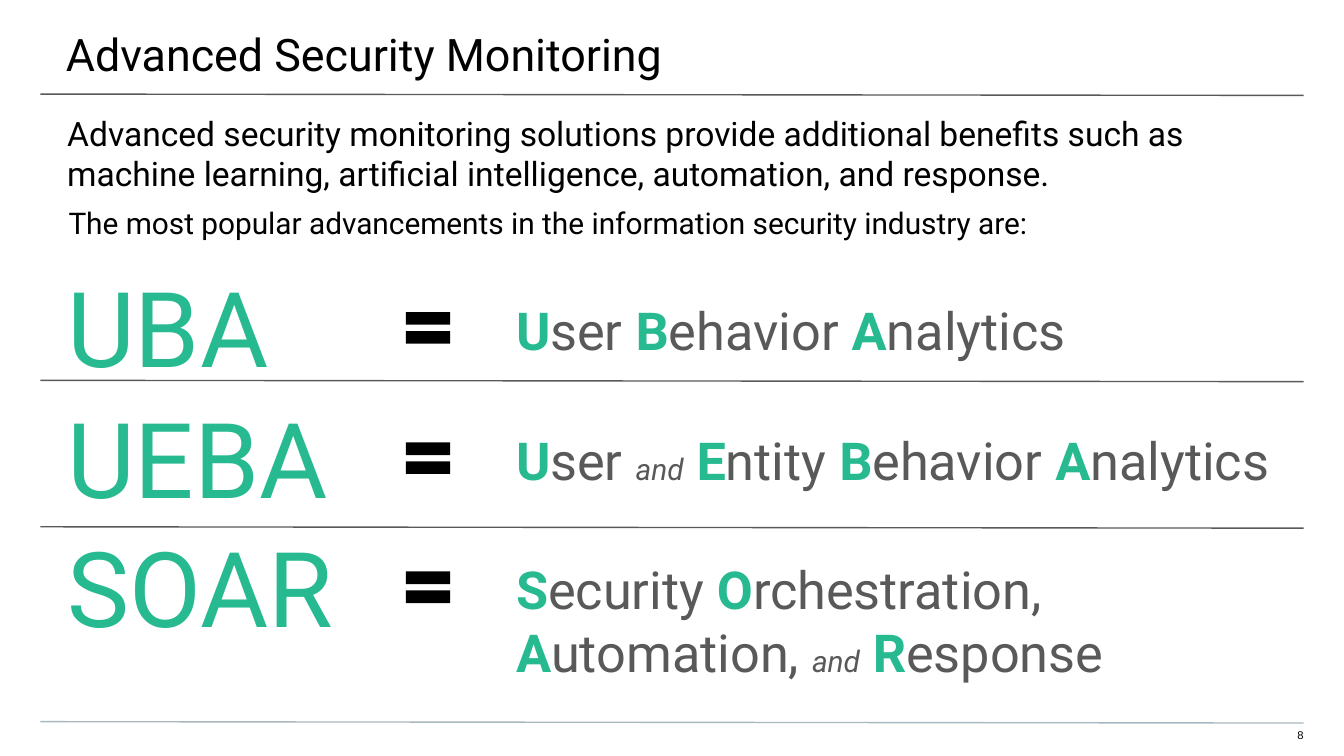
import pptx
import pptx.util
import pptx.dml.color
import pptx.enum.shapes
import pptx.enum.text
import pptx.oxml.ns
import lxml.etree

WIDTH = 10
HEIGHT = WIDTH * 9 / 16
GREEN, GREY, BLACK, PALE = "27BA90", "595959", "000000", "A9B7C0"
DEFINITIONS = [
    (1.96, 0.64, "UBA", "User Behavior Analytics"),
    (2.93, 0.64, "UEBA", "User and Entity Behavior Analytics"),
    (3.89, 1.06, "SOAR", "Security Orchestration, Automation, and Response"),
]


def inches(value):
    return pptx.util.Inches(value)


def colour(hex_text):
    return pptx.dml.color.RGBColor.from_string(hex_text)


def style(span, size, hex_text, bold=False, italic=False, face="Roboto"):
    span.font.name = face
    span.font.size = pptx.util.Pt(size)
    span.font.bold = bold
    span.font.italic = italic
    span.font.color.rgb = colour(hex_text)


def prepare(shape, box, insets):
    shape.left, shape.top, shape.width, shape.height = map(inches, box)
    frame = shape.text_frame
    frame.word_wrap = True
    frame.auto_size = pptx.enum.text.MSO_AUTO_SIZE.NONE
    frame.vertical_anchor = pptx.enum.text.MSO_ANCHOR.TOP
    (frame.margin_left, frame.margin_top,
     frame.margin_right, frame.margin_bottom) = map(inches, insets)
    return frame


def add_box(page, box, insets):
    return prepare(page.shapes.add_textbox(0, 0, 0, 0), box, insets)


def write(frame, text, size, hex_text, face="Roboto"):
    frame.text = text
    para = frame.paragraphs[0]
    style(para.runs[0], size, hex_text, face=face)
    return para


def add_rule(page, top, hex_text):
    margin = 0.03 * WIDTH
    rule = page.shapes.add_connector(
        pptx.enum.shapes.MSO_CONNECTOR.STRAIGHT,
        inches(margin), inches(top), inches(WIDTH - margin), inches(top + 0.01))
    rule.line.color.rgb = colour(hex_text)
    rule.line.width = pptx.util.Pt(0.75)
    lxml.etree.SubElement(rule.element.spPr, pptx.oxml.ns.qn("a:effectLst"))


def fill_heading(page):
    title, summary, lead = page.placeholders
    frame = prepare(title, (-0.01, 0, WIDTH + 0.03, 0.58), (0.5, 0.2, 0.3, 0.1))
    para = write(frame, "Advanced Security Monitoring", 24, BLACK)
    para.alignment = pptx.enum.text.PP_ALIGN.LEFT
    passages = [
        (summary, (0, 0.74, WIDTH, 0.4), 0.1, 18,
         "Advanced security monitoring solutions provide additional benefits such as "
         "machine learning, artificial intelligence, automation, and response."),
        (lead, (0.01, 1.52, WIDTH, 0.34), 0, 16,
         "The most popular advancements in the information security industry are:"),
    ]
    for shape, box, top_inset, size, text in passages:
        para = write(prepare(shape, box, (0.5, top_inset, 0.5, 0)), text, size, BLACK)
        para.space_before = pptx.util.Pt(0)
        properties = para._p.get_or_add_pPr()
        properties.set("marL", "0")
        properties.set("indent", "0")
        lxml.etree.SubElement(properties, pptx.oxml.ns.qn("a:buNone"))


def add_definition(page, box, acronym, meaning):
    left, top, width, height = box
    frame = add_box(page, (left, top, 0.294 * width, 0.75), (0.5, 0, 0, 0))
    write(frame, acronym, 56, GREEN)

    sign = page.shapes.add_shape(
        pptx.enum.shapes.MSO_SHAPE.MATH_EQUAL,
        inches(left + 0.296 * width), inches(top + 0.28), inches(0.45), inches(0.4))
    sign.adjustments[0], sign.adjustments[1] = 0.235, 0.118
    sign.shadow.inherit = False
    sign.fill.solid()
    sign.fill.fore_color.rgb = colour(BLACK)
    sign.line.fill.background()

    frame = add_box(page, (left + 0.334 * width, top + 0.16, 0.646 * width, height),
                    (0.5, 0.1, 0, 0))
    para = frame.paragraphs[0]
    words = meaning.split()
    for index, word in enumerate(words):
        gap = " " if index < len(words) - 1 else ""
        if word == "and":
            pieces = [(word, 16, GREY, False, True), (gap, 28, GREY, False, False)]
        else:
            pieces = [(word[0], 28, GREEN, True, False),
                      (word[1:] + gap, 28, GREY, False, False)]
        for text, size, hex_text, bold, italic in pieces:
            span = para.add_run()
            span.text = text
            style(span, size, hex_text, bold, italic)


def add_page_number(page, box):
    frame = add_box(page, box, (0, 0, 0, 0))
    para = write(frame, "8", 6, BLACK, "Arial")
    para.alignment = pptx.enum.text.PP_ALIGN.RIGHT


def main():
    deck = pptx.Presentation()
    deck.slide_width, deck.slide_height = inches(WIDTH), inches(HEIGHT)
    page = deck.slides.add_slide(deck.slide_layouts.get_by_name("Two Content"))
    fill_heading(page)
    for top, hex_text in [(0.7, GREY), (2.83, GREY), (3.92, GREY), (5.37, PALE)]:
        add_rule(page, top, hex_text)
    for top, height, acronym, meaning in DEFINITIONS:
        add_definition(page, (0, top, WIDTH, height), acronym, meaning)
    add_page_number(page, (9.41, 5.42, 0.29, 0.12))
    deck.save("out.pptx")


if __name__ == "__main__":
    main()
